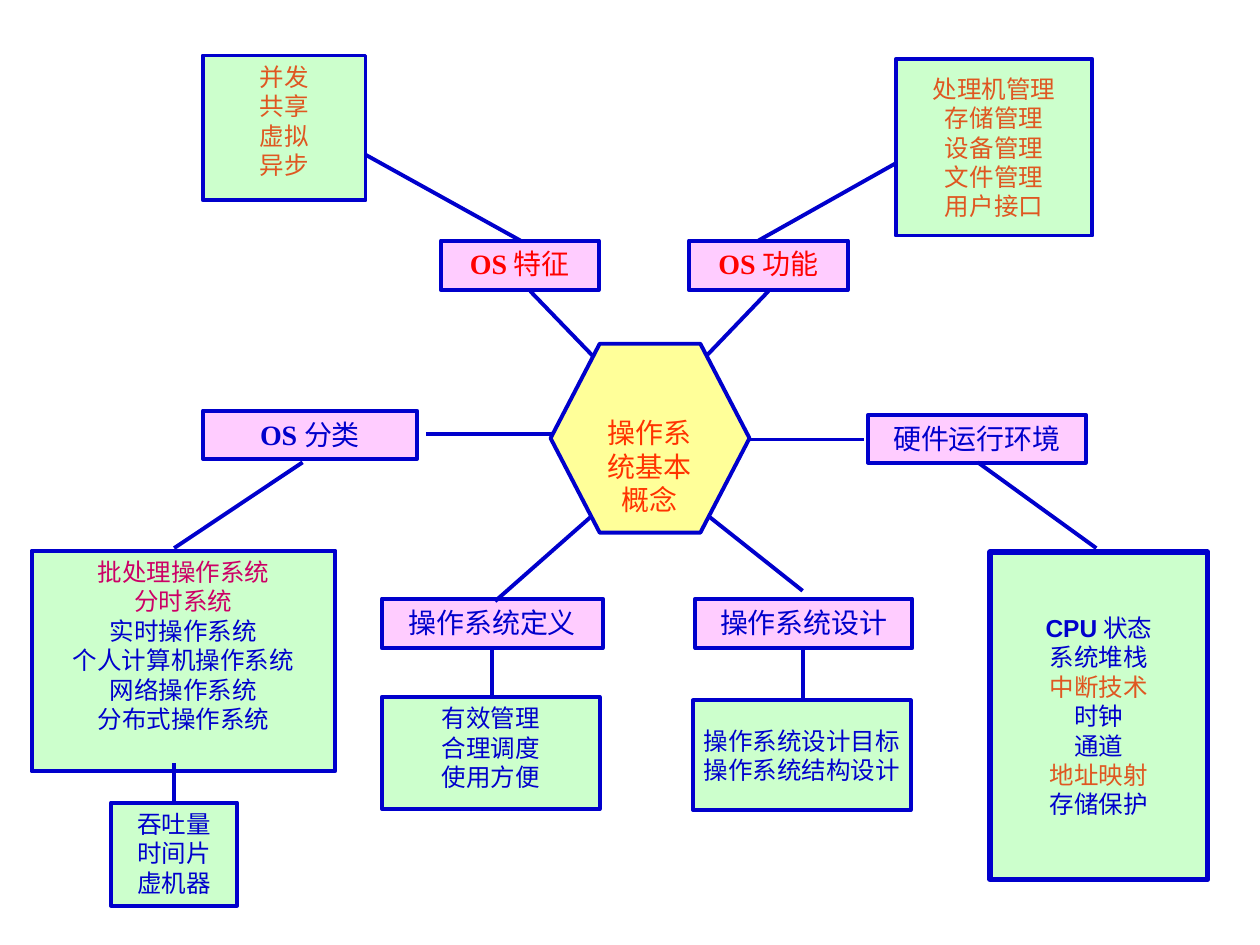
from dataclasses import dataclass
from itertools import groupby

from lxml import etree
from pptx import Presentation
from pptx.dml.color import RGBColor
from pptx.enum.shapes import MSO_CONNECTOR, MSO_SHAPE
from pptx.enum.text import MSO_ANCHOR, PP_ALIGN
from pptx.oxml.ns import qn
from pptx.util import Cm, Pt

RECT, HEXAGON = MSO_SHAPE.RECTANGLE, MSO_SHAPE.HEXAGON
STRAIGHT = MSO_CONNECTOR.STRAIGHT
TOP, MIDDLE = MSO_ANCHOR.TOP, MSO_ANCHOR.MIDDLE
CENTER = PP_ALIGN.CENTER

CJK, SERIF, SANS = "Noto Sans CJK SC", "Times New Roman", "Arial"
BLUE, RED, ORANGE, MAGENTA = "0000CC", "FF0000", "DF5721", "CC0066"
PINK, GREEN, YELLOW, CORE_RED = "FFCCFF", "CCFFCC", "FFFF99", "FF3300"


@dataclass
class Box:
    left: float
    top: float
    width: float
    height: float
    lines: list[str]
    colors: list[str]  # one per line; the last one carries on
    fill: str = GREEN
    size: int = 14
    latin: str = SANS
    anchor: MSO_ANCHOR = TOP
    border: float = 2.25


@dataclass
class Link:
    x1: float
    y1: float
    x2: float
    y2: float


def topic(left: float, top: float, width: float, height: float,
          text: str, color: str = BLUE) -> Box:
    return Box(left, top, width, height, [text], [color], PINK, 16, SERIF)


def rgb(color: str) -> RGBColor:
    return RGBColor.from_string(color)


def write_text(tf, lines: list[str], colors: list[str], size: int,
               latin: str = SANS, anchor: MSO_ANCHOR = TOP) -> None:
    tf.word_wrap = True
    tf.vertical_anchor = anchor
    tf.margin_left = tf.margin_right = tf.margin_top = tf.margin_bottom = Cm(0.13)
    for i, line in enumerate(lines):
        p = tf.paragraphs[0] if i == 0 else tf.add_paragraph()
        p.alignment = CENTER
        # Latin parts are bold in their own font
        for is_latin, chars in groupby(line, key=str.isascii):
            r = p.add_run()
            r.text = "".join(chars)
            r.font.size = Pt(size)
            r.font.bold = is_latin
            r.font.name = latin if is_latin else CJK
            r.font.color.rgb = rgb(colors[min(i, len(colors) - 1)])
            etree.SubElement(r.font._element, qn("a:ea"), typeface=CJK)


def add_outline(s, kind: MSO_SHAPE, left: float, top: float, width: float,
                height: float, fill: str, border: float = 2.25):
    sp = s.shapes.add_shape(kind, Cm(left), Cm(top), Cm(width), Cm(height))
    sp.shadow.inherit = False
    sp.fill.solid()
    sp.fill.fore_color.rgb = rgb(fill)
    sp.line.color.rgb = rgb(BLUE)
    sp.line.width = Pt(border)
    return sp


def add_box(s, b: Box) -> None:
    sp = add_outline(s, RECT, b.left, b.top, b.width, b.height, b.fill, b.border)
    write_text(sp.text_frame, b.lines, b.colors, b.size, b.latin, b.anchor)


def add_link(s, k: Link) -> None:
    cn = s.shapes.add_connector(STRAIGHT, Cm(k.x1), Cm(k.y1), Cm(k.x2), Cm(k.y2))
    cn.line.color.rgb = rgb(BLUE)
    cn.line.width = Pt(2.25)
    etree.SubElement(cn._element.spPr, qn("a:effectLst"))


TOPICS = [
    topic(8.89, 4.85, 3.18, 1, "OS特征", RED),
    topic(13.89, 4.85, 3.2, 1, "OS功能", RED),
    topic(4.09, 8.28, 4.32, 0.97, "OS分类"),
    topic(17.5, 8.36, 4.39, 0.97, "硬件运行环境"),
    topic(7.7, 12.07, 4.45, 1, "操作系统定义"),
    topic(14.02, 12.07, 4.37, 1, "操作系统设计"),
]

DETAILS = [
    Box(4.09, 1.12, 3.28, 2.92, ["并发", "共享", "虚拟", "异步"], [ORANGE]),
    Box(18.06, 1.19, 3.96, 3.56,
        ["处理机管理", "存储管理", "设备管理", "文件管理", "用户接口"],
        [ORANGE], anchor=MIDDLE),
    Box(0.64, 11.1, 6.12, 4.45,
        ["批处理操作系统", "分时系统", "实时操作系统", "个人计算机操作系统",
         "网络操作系统", "分布式操作系统"],
        [MAGENTA, MAGENTA, BLUE]),
    Box(2.24, 16.18, 2.54, 2.08, ["吞吐量", "时间片", "虚机器"], [BLUE]),
    Box(7.7, 14.05, 4.39, 2.26, ["有效管理", "合理调度", "使用方便"], [BLUE]),
    Box(13.97, 14.12, 4.39, 2.21, ["操作系统设计目标", "操作系统结构设计"],
        [BLUE], anchor=MIDDLE),
    Box(19.96, 11.13, 4.39, 6.6,
        ["CPU状态", "系统堆栈", "中断技术", "时钟", "通道", "地址映射", "存储保护"],
        [BLUE, BLUE, ORANGE, BLUE, BLUE, ORANGE, BLUE],
        anchor=MIDDLE, border=3),
]

LINKS = [
    # Centre to topics
    Link(10.69, 5.87, 12.09, 7.32),
    Link(15.49, 5.87, 14.1, 7.32),
    Link(11.18, 8.74, 8.59, 8.74),
    Link(15.11, 8.86, 17.42, 8.86),
    Link(9.98, 12.12, 12.09, 10.26),
    Link(16.18, 11.91, 14.1, 10.26),
    # Topics to details
    Link(10.49, 4.85, 7.37, 3.12),
    Link(18.06, 3.29, 15.29, 4.85),
    Link(6.1, 9.32, 3.51, 11.05),
    Link(19.71, 9.32, 22.1, 11.05),
    Link(9.91, 13.06, 9.91, 14.05),
    Link(16.18, 13.06, 16.18, 14.12),
    Link(3.51, 15.39, 3.51, 16.18),
]


def main() -> None:
    prs = Presentation()
    prs.slide_width, prs.slide_height = Cm(25.4), Cm(19.05)
    s = prs.slides.add_slide(prs.slide_layouts[6])

    for box in TOPICS + DETAILS:
        add_box(s, box)
    for link in LINKS:
        add_link(s, link)

    # Central concept, above the link ends
    core = add_outline(s, HEXAGON, 11.1, 6.93, 4.01, 3.81, YELLOW)
    core.adjustments[0] = 0.26
    label = s.shapes.add_textbox(Cm(11.89), Cm(8.25), Cm(2.41), Cm(2.5))
    write_text(label.text_frame, ["操作系统基本概念"], [CORE_RED], 16)

    prs.save("out.pptx")


if __name__ == "__main__":
    main()
